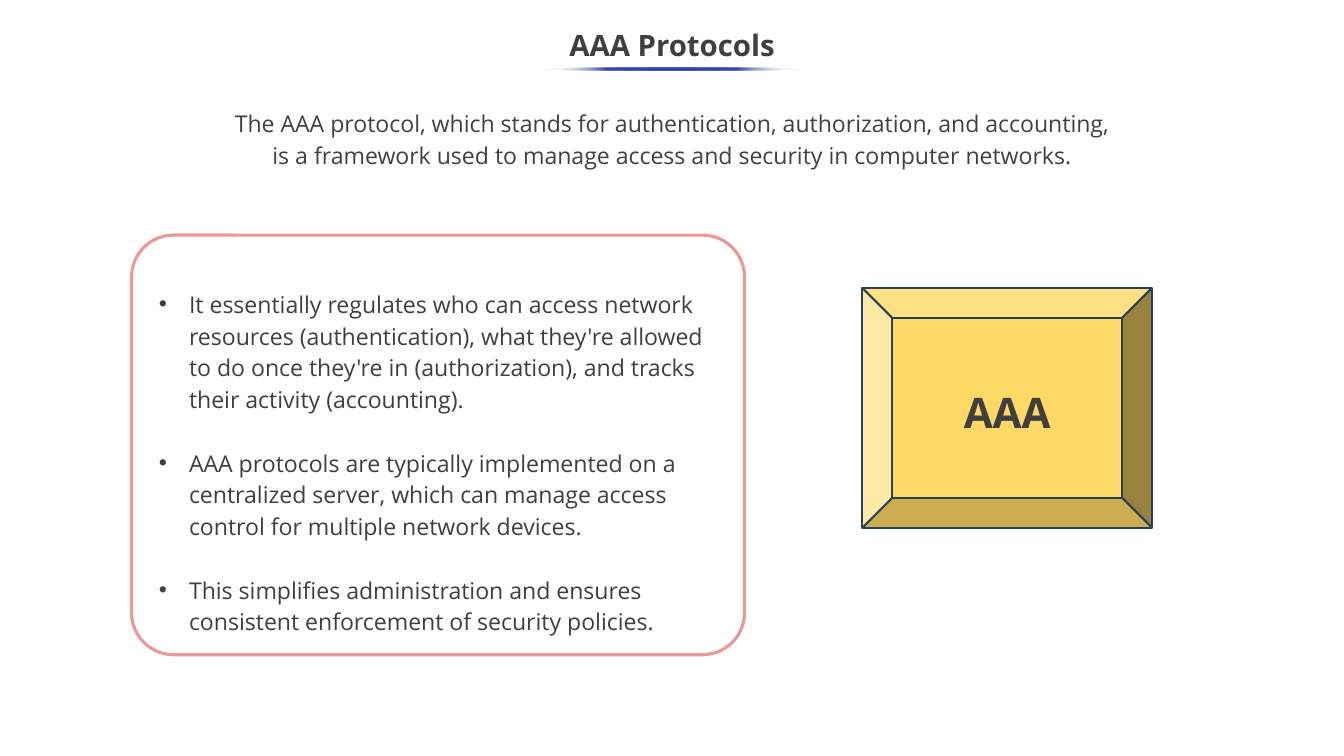
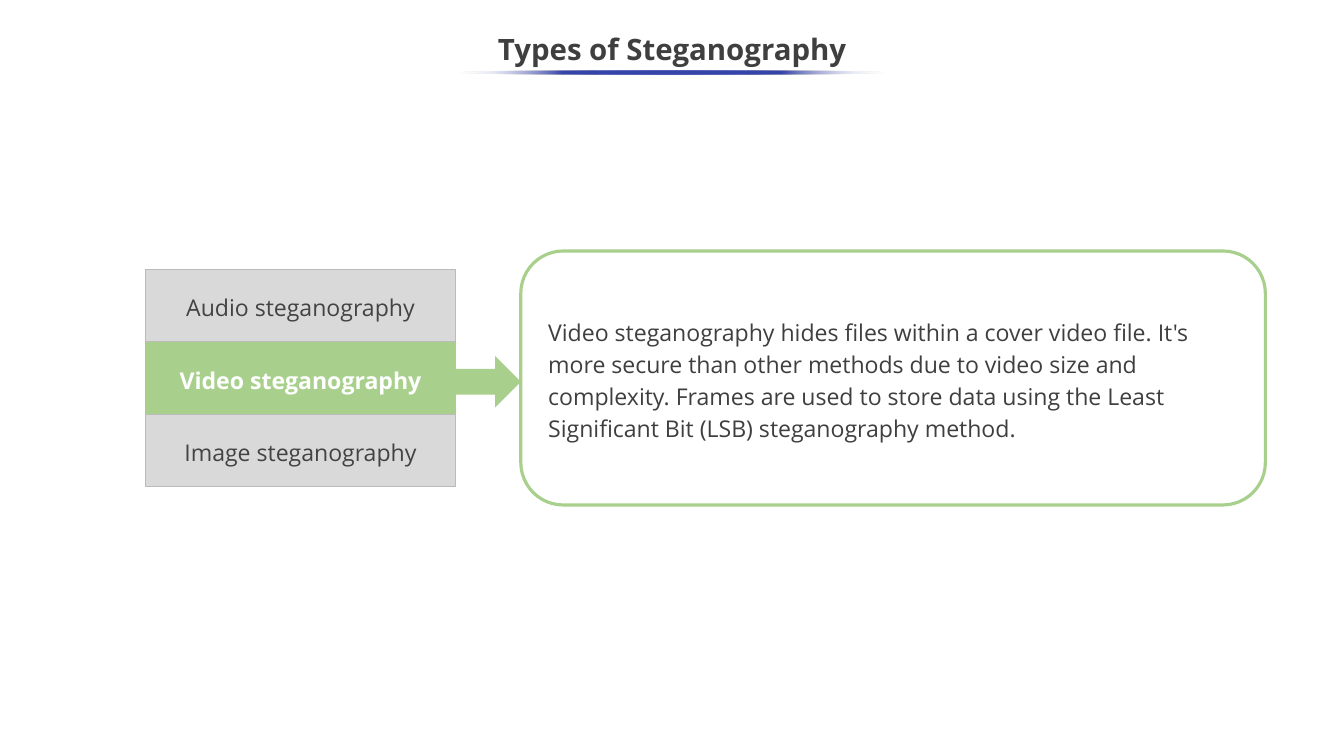
from dataclasses import dataclass
from typing import Optional

from lxml import etree
from pptx import Presentation
from pptx import util as u
from pptx.dml.color import RGBColor
from pptx.enum import shapes, text
from pptx.oxml import parse_xml
from pptx.oxml.ns import nsdecls, qn


# Theme: every colour, type size and line width
@dataclass(frozen=True)
class Theme:
    font: str = "Open Sans"
    ink: str = "3F3F3F"
    intro_ink: str = "404040"
    tab_ink: str = "434343"
    white: str = "FFFFFF"
    accent: str = "3645A9"
    rose: str = "EA9999"
    green: str = "A8D08C"
    gold: str = "FFD966"
    navy: str = "264159"
    grey: str = "D9D9D9"
    grey_line: str = "BBBBBB"
    title_size: int = 28
    body_size: int = 22
    badge_size: int = 40
    panel_line: float = 3
    badge_line: float = 2
    tab_line: float = 0.75
    spacing: float = 1.15
    title_spacing: float = 0.9


THEME = Theme()
WIDTH, HEIGHT = u.Inches(17.78), u.Inches(10)


# Areas are percentages of the slide's width and height
@dataclass(frozen=True)
class Area:
    left: float
    top: float
    width: float
    height: float

    def lengths(self) -> tuple:
        return (u.Emu(int(WIDTH * self.left / 100)), u.Emu(int(HEIGHT * self.top / 100)),
                u.Emu(int(WIDTH * self.width / 100)), u.Emu(int(HEIGHT * self.height / 100)))


def centred(top: float, width: float, height: float) -> Area:
    return Area(50 - width / 2, top, width, height)


@dataclass(frozen=True)
class Type:
    size: int = THEME.body_size
    colour: str = THEME.ink
    bold: bool = False
    spacing: float = THEME.spacing
    centre: bool = True
    middle: bool = True
    insets: tuple = (0.1, 0.05, 0.1, 0.05)


@dataclass(frozen=True)
class Figure:
    kind: shapes.MSO_SHAPE
    area: Area
    fill: Optional[str] = None
    line: Optional[str] = None
    line_width: float = 0
    corner: Optional[float] = None


# Drawing functions
def write(box, paragraphs: list[str], style: Type) -> None:
    frame = box.text_frame
    frame.word_wrap = True
    frame.vertical_anchor = text.MSO_ANCHOR.MIDDLE if style.middle else text.MSO_ANCHOR.TOP
    (frame.margin_left, frame.margin_top,
     frame.margin_right, frame.margin_bottom) = map(u.Inches, style.insets)
    frame.text = "\n".join(paragraphs)
    for para in frame.paragraphs:
        para.alignment = text.PP_ALIGN.CENTER if style.centre else text.PP_ALIGN.LEFT
        para.line_spacing = style.spacing
        for span in para.runs:
            span.font.name = THEME.font
            span.font.size = u.Pt(style.size)
            span.font.bold = style.bold
            span.font.color.rgb = RGBColor.from_string(style.colour)


def indent(para, left: float, first: float = 0, bullet: str = "") -> None:
    props = para._p.get_or_add_pPr()
    props.set("marL", str(u.Inches(left)))
    props.set("indent", str(u.Inches(first)))
    if bullet:
        colour = etree.SubElement(props, qn("a:buClr"))
        etree.SubElement(colour, qn("a:srgbClr"), val=THEME.ink)
        etree.SubElement(props, qn("a:buFont"), typeface="Arial")
        etree.SubElement(props, qn("a:buChar"), char=bullet)


def draw(page, figure: Figure):
    shape = page.shapes.add_shape(figure.kind, *figure.area.lengths())
    shape.shadow.inherit = False
    if figure.corner is not None:
        shape.adjustments[0] = figure.corner
    if figure.fill:
        shape.fill.solid()
        shape.fill.fore_color.rgb = RGBColor.from_string(figure.fill)
    else:
        shape.fill.background()
    if figure.line:
        shape.line.color.rgb = RGBColor.from_string(figure.line)
        shape.line.width = u.Pt(figure.line_width)
    else:
        shape.line.fill.background()
    return shape


def add_text(page, area: Area, words: str, style: Type) -> None:
    write(page.shapes.add_textbox(*area.lengths()), [words], style)


def add_panel(page, area: Area, line: str, corner: float):
    return draw(page, Figure(shapes.MSO_SHAPE.ROUNDED_RECTANGLE, area, line=line,
                             line_width=THEME.panel_line, corner=corner))


def fade_ends(shape) -> None:
    """Fill with the accent colour, fading to clear at both ends."""
    clear = f'<a:srgbClr val="{THEME.white}"><a:alpha val="0"/></a:srgbClr>'
    solid = f'<a:srgbClr val="{THEME.accent}"/>'
    stops = "".join(f'<a:gs pos="{share * 1000}">{clear if share in (0, 100) else solid}</a:gs>'
                    for share in range(0, 101, 25))
    gradient = parse_xml(f'<a:gradFill {nsdecls("a")}><a:gsLst>{stops}</a:gsLst>'
                         '<a:lin ang="10800000" scaled="0"/></a:gradFill>')
    props = shape._element.spPr
    props.replace(props.find(qn("a:noFill")), gradient)


def add_page(deck, title: str, top: float, underline_width: float):
    page = deck.slides.add_slide(deck.slide_layouts[6])
    add_text(page, Area(0, top, 100, 7.5), title,
             Type(THEME.title_size, bold=True, spacing=THEME.title_spacing))
    fade_ends(draw(page, Figure(shapes.MSO_SHAPE.OVAL,
                                centred(top + 6.4, underline_width, 0.4))))
    return page


# Slide 1: introduction, bullet panel and badge
def build_protocols(deck) -> None:
    page = add_page(deck, "AAA Protocols", 2.5, 19.24)
    add_text(page, centred(13.4, 67.83, 9.3),
             "The AAA protocol, which stands for authentication, authorization, and accounting, "
             "is a framework used to manage access and security in computer networks.",
             Type(colour=THEME.intro_ink, middle=False))

    panel = add_panel(page, Area(9.79, 31.1, 45.61, 55.5), THEME.rose, 0.1)
    write(panel, [
        "It essentially regulates who can access network resources (authentication), what "
        "they're allowed to do once they're in (authorization), and tracks their activity "
        "(accounting).",
        "AAA protocols are typically implemented on a centralized server, which can manage "
        "access control for multiple network devices.",
        "This simplifies administration and ensures consistent enforcement of security "
        "policies.",
    ], Type(centre=False, insets=(0.1, 0.52, 0.1, 0.1)))
    for number, para in enumerate(panel.text_frame.paragraphs):
        if number:
            para.space_before = u.Pt(30)
        indent(para, 0.5, -0.4, "•")

    badge = draw(page, Figure(shapes.MSO_SHAPE.BEVEL, Area(64.17, 38.1, 21.54, 31.7),
                              THEME.gold, THEME.navy, THEME.badge_line, 0.125))
    write(badge, ["AAA"], Type(THEME.badge_size, bold=True))


# Slide 2: stacked tabs, the active one pointing at its description
def build_steganography(deck) -> None:
    page = add_page(deck, "Types of Steganography", 3, 32.51)
    tabs = ["Audio steganography", "Video steganography", "Image steganography"]
    active = 1
    stack = Area(10.8, 35.6, 23.12, 9.6)
    description = Area(38.75, 33.2, 55.4, 33.6)

    # The active tab comes last so that it covers its neighbours' edges
    for row in sorted(range(len(tabs)), key=lambda row: row == active):
        chosen = row == active
        area = Area(stack.left, stack.top + row * stack.height, stack.width, stack.height)
        tab = draw(page, Figure(shapes.MSO_SHAPE.RECTANGLE, area,
                                THEME.green if chosen else THEME.grey,
                                THEME.grey_line, THEME.tab_line))
        write(tab, [tabs[row]], Type(colour=THEME.white if chosen else THEME.tab_ink,
                                     bold=chosen, insets=(0.07,) * 4))

    panel = add_panel(page, description, THEME.green, 0.167)
    write(panel, [
        "Video steganography hides files within a cover video file. It's more secure than "
        "other methods due to video size and complexity. Frames are used to store data using "
        "the Least Significant Bit (LSB) steganography method."
    ], Type(centre=False, insets=(0.1,) * 4))
    indent(panel.text_frame.paragraphs[0], 0.1)

    tab_edge = stack.left + stack.width
    draw(page, Figure(shapes.MSO_SHAPE.RIGHT_ARROW,
                      Area(tab_edge, 47.1, description.left - tab_edge, 6.8), THEME.green))


def main() -> None:
    deck = Presentation()
    deck.slide_width, deck.slide_height = WIDTH, HEIGHT
    build_protocols(deck)
    build_steganography(deck)
    deck.save("out.pptx")


if __name__ == "__main__":
    main()
